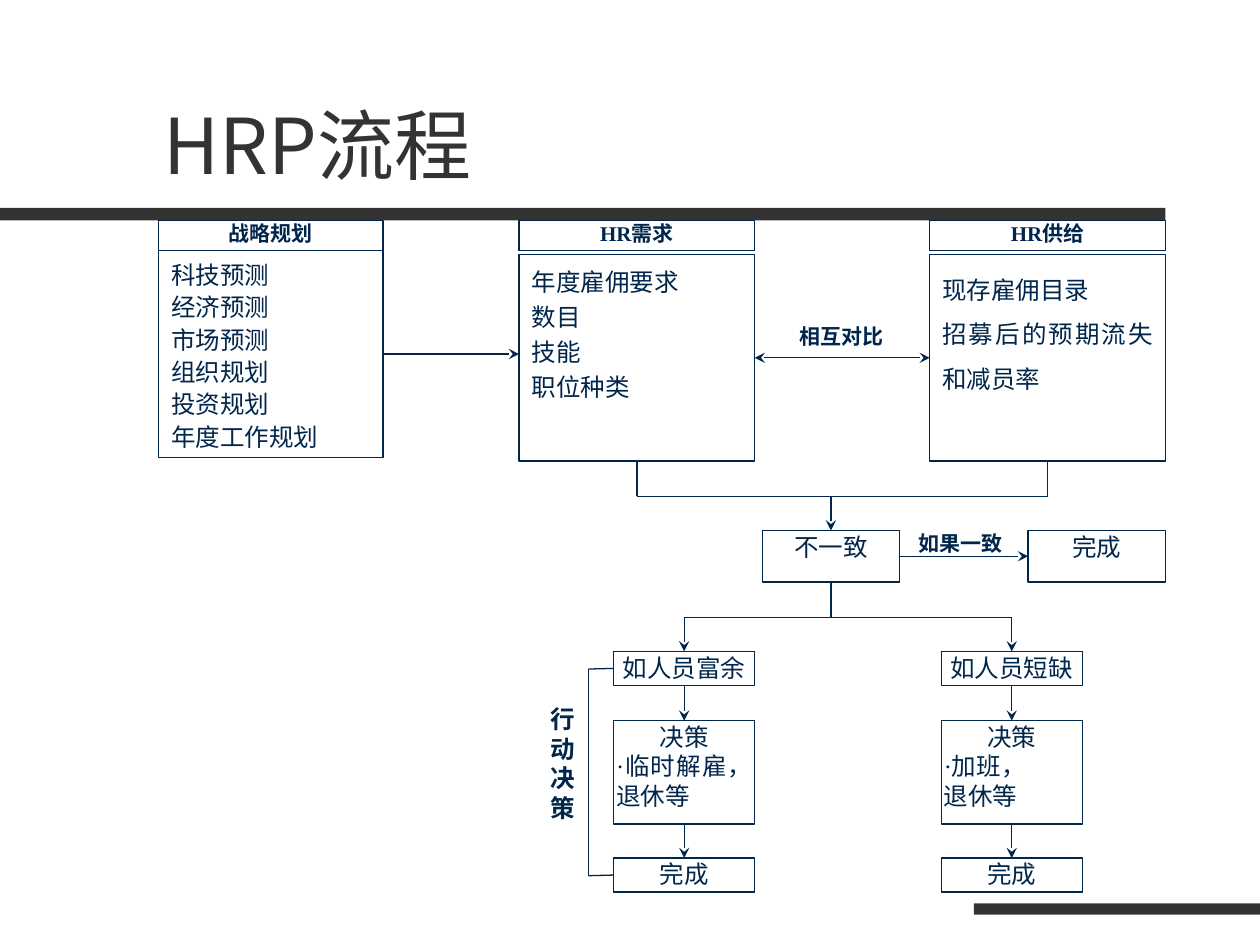
from lxml import etree
from pptx import Presentation
from pptx import util as u
from pptx.dml.color import RGBColor
from pptx.enum import shapes, text
from pptx.oxml.ns import qn

INK, BAR, WHITE = "00264C", "333333", "FFFFFF"
CJK_FONT = "Noto Sans CJK SC"
TOP, LEFT, BOTTOM, RIGHT = range(4)
ALIGN = text.PP_ALIGN
THIN = (0.02, 0.01)
WIDE = (0.1, 0.05)
NONE = (0, 0)


def color(value):
    return RGBColor.from_string(value)


def write(shape, lines, size=14, font="Times New Roman", ink=INK, bold=False,
          align=ALIGN.CENTER, body_align=None, spacing=None, inset=THIN,
          anchor=text.MSO_ANCHOR.TOP):
    """Fill a shape with one paragraph per line; body_align applies after the first."""
    frame = shape.text_frame
    frame.word_wrap = True
    frame.auto_size = text.MSO_AUTO_SIZE.NONE
    frame.vertical_anchor = anchor
    frame.margin_left = frame.margin_right = u.Inches(inset[0])
    frame.margin_top = frame.margin_bottom = u.Inches(inset[1])
    for index, line in enumerate(lines):
        para = frame.add_paragraph() if index else frame.paragraphs[0]
        para.alignment = body_align if index and body_align else align
        if spacing:
            para.line_spacing = spacing
        span = para.add_run()
        span.text = line
        span.font.size = u.Pt(size)
        span.font.bold = bold
        span.font.name = font
        span.font.color.rgb = color(ink)
        east_asian = etree.SubElement(span.font._element, qn("a:ea"))
        east_asian.set("typeface", CJK_FONT)


def add_bar(page, *place):
    bar = page.shapes.add_shape(shapes.MSO_SHAPE.RECTANGLE, *map(u.Inches, place))
    bar.shadow.inherit = False
    bar.fill.solid()
    bar.fill.fore_color.rgb = color(BAR)
    bar.line.fill.background()


def add_box(page, place, lines, **style):
    box = page.shapes.add_shape(shapes.MSO_SHAPE.RECTANGLE, *map(u.Inches, place))
    box.shadow.inherit = False
    box.fill.solid()
    box.fill.fore_color.rgb = color(WHITE)
    box.line.color.rgb = color(INK)
    box.line.width = u.Pt(0.75)
    write(box, lines, **style)
    return box


def add_label(page, place, line, **style):
    label = page.shapes.add_textbox(*map(u.Inches, place))
    write(label, [line], bold=True, **style)


def add_line(page, start, end, arrows=()):
    """Draw a line; each end is an (x, y) point in inches or a (box, side) pair."""
    def point(place):
        x, y = place
        return (u.Inches(x), u.Inches(y)) if isinstance(x, (int, float)) else (x.left, x.top)

    line = page.shapes.add_connector(shapes.MSO_CONNECTOR.STRAIGHT,
                                     *point(start), *point(end))
    for place, join in ((start, line.begin_connect), (end, line.end_connect)):
        if not isinstance(place[0], (int, float)):
            join(*place)
    line.line.color.rgb = color(INK)
    line.line.width = u.Pt(0.75)
    for name in arrows:
        etree.SubElement(line.line._get_or_add_ln(), qn(f"a:{name}")).set("type", "stealth")
    etree.SubElement(line._element.spPr, qn("a:effectLst"))


def center_x(box):
    return (box.left + box.width / 2) / u.Inches(1)


def add_source_boxes(page):
    """Draw the three headed boxes at the top and the links between them."""
    columns = [
        (1.26, 1.78, 1.99, 1.1, "战略规划",
         ["科技预测", "经济预测", "市场预测", "组织规划", "投资规划", "年度工作规划"]),
        (4.12, 1.87, 2.02, 1.2, "HR需求", ["年度雇佣要求", "数目", "技能", "职位种类"]),
        (7.38, 1.87, 2.02, 1.5, "HR供给", ["现存雇佣目录", "招募后的预期流失和减员率"]),
    ]
    boxes = []
    for left, width, top, spacing, heading, lines in columns:
        add_box(page, (left, 1.75, width, 0.24), [heading],
                size=12, bold=True, inset=NONE)
        boxes.append(add_box(page, (left, top, width, 1.64), lines,
                             align=ALIGN.JUSTIFY, spacing=spacing, inset=WIDE))
    strategy, demand, supply = boxes
    add_line(page, (strategy, RIGHT), (4.12, 2.81), ["tailEnd"])
    add_line(page, (demand, RIGHT), (supply, LEFT), ["headEnd", "tailEnd"])
    add_label(page, (6.09, 2.57, 1.18, 0.25), "相互对比", size=12, inset=NONE)
    return demand, supply


def add_comparison(page, demand, supply):
    mismatch = add_box(page, (6.05, 4.21, 1.09, 0.41), ["不一致"])
    match_done = add_box(page, (8.16, 4.21, 1.09, 0.41), ["完成"])
    bus = 3.94
    for source in (demand, supply):
        add_line(page, (source, BOTTOM), (center_x(source), bus))
    add_line(page, (center_x(demand), bus), (center_x(supply), bus))
    add_line(page, (center_x(mismatch), bus), (mismatch, TOP), ["tailEnd"])
    add_line(page, (mismatch, RIGHT), (match_done, LEFT), ["tailEnd"])
    add_label(page, (7.18, 4.21, 0.89, 0.15), "如果一致", size=12, inset=NONE)
    return mismatch


def add_branch(page, left, condition, decision):
    """Draw condition, decision and completion from top to bottom."""
    width = 1.12
    first = add_box(page, (left, 5.17, width, 0.27), [condition])
    middle = add_box(page, (left, 5.72, width, 0.82), ["决策", *decision],
                     body_align=ALIGN.JUSTIFY)
    last = add_box(page, (left, 6.81, width, 0.27), ["完成"])
    for upper, lower in ((first, middle), (middle, last)):
        add_line(page, (upper, BOTTOM), (lower, TOP), ["tailEnd"])
    return first, last


def add_actions(page, mismatch):
    surplus, surplus_done = add_branch(page, 4.87, "如人员富余", ["·临时解雇，退休等"])
    shortage, _ = add_branch(page, 7.47, "如人员短缺", ["·加班，", "退休等"])
    bus = 4.9
    add_line(page, (mismatch, BOTTOM), (center_x(mismatch), bus))
    add_line(page, (center_x(surplus), bus), (center_x(shortage), bus))
    for branch in (surplus, shortage):
        add_line(page, (center_x(branch), bus), (branch, TOP), ["tailEnd"])

    bracket, upper, lower = 4.67, 5.31, 6.95
    add_line(page, (bracket, upper), (surplus, LEFT))
    add_line(page, (bracket, lower), (surplus_done, LEFT))
    add_line(page, (bracket, lower), (bracket, upper))
    add_label(page, (4.32, 5.58, 0.3, 1.09), "行动决策")


def main():
    deck = Presentation()
    deck.slide_width, deck.slide_height = u.Inches(10), u.Inches(7.5)
    page = deck.slides.add_slide(deck.slide_layouts[5])
    add_bar(page, 0, 1.65, 9.25, 0.1)
    add_bar(page, 7.73, 7.17, 2.27, 0.09)

    title = page.shapes.title
    title.left, title.top = u.Inches(1.2), u.Inches(0.31)
    title.width, title.height = u.Inches(8.5), u.Inches(1.25)
    write(title, ["HRP流程"], size=44, font=CJK_FONT, ink=BAR, align=ALIGN.LEFT,
          inset=WIDE, anchor=text.MSO_ANCHOR.BOTTOM)

    demand, supply = add_source_boxes(page)
    mismatch = add_comparison(page, demand, supply)
    add_actions(page, mismatch)
    deck.save("out.pptx")


if __name__ == "__main__":
    main()
